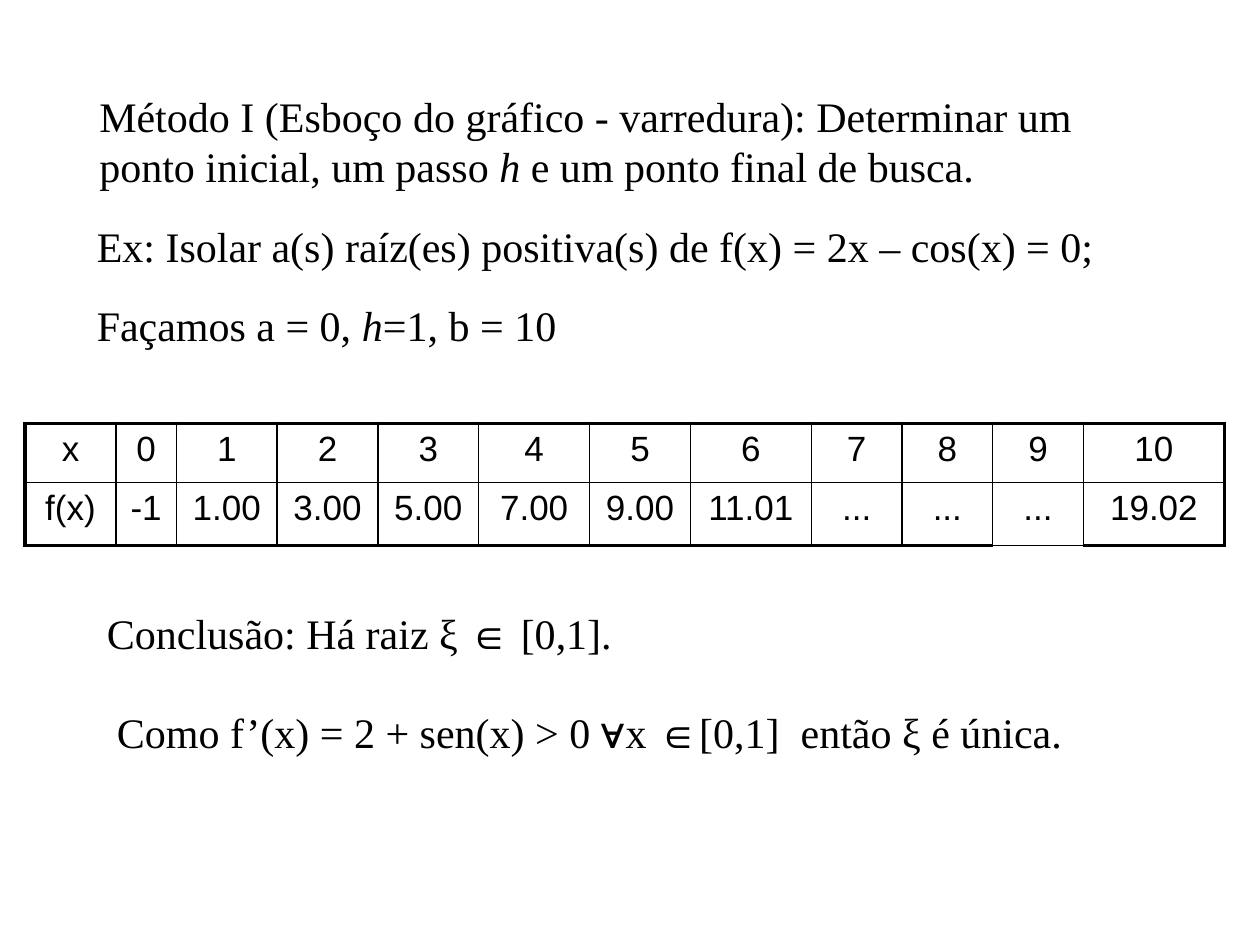
from lxml import etree
from pptx import Presentation
from pptx.dml.color import RGBColor
from pptx.enum import text
from pptx.oxml.ns import qn
from pptx.util import Inches, Pt

BLACK = "000000"
THIN, THICK = 1, 2.25
COLUMNS = [0.72, 0.48, 0.8, 0.8, 0.8, 0.88, 0.8, 0.96, 0.72, 0.72, 0.72, 1.12]
ROWS = [0.47, 0.5]
VALUES = [
    ["x", *map(str, range(11))],
    ["f(x)", "-1", "1.00", "3.00", "5.00", "7.00", "9.00", "11.01",
     "...", "...", "...", "19.02"],
]
OPEN_COLUMN = VALUES[0].index("9")
STATEMENTS = [
    ((0.69, 0.67, 8.23, 0.9),
     ["Método I (Esboço do gráfico - varredura): Determinar um ponto inicial, um passo ",
      "h", " e um ponto final de busca."]),
    ((0.67, 1.7, 8.26, 0.5),
     ["Ex: Isolar a(s) raíz(es) positiva(s) de f(x) = 2x – cos(x) = 0;"]),
    ((0.67, 2.33, 8.47, 0.5), ["Façamos a = 0, ", "h", "=1, b = 10"]),
    ((0.75, 4.77, 7.31, 0.5), ["Conclusão: Há raiz ξ ∈ [0,1]."]),
    ((0.83, 5.56, 8.85, 0.5),
     ["Como f’(x) = 2 + sen(x) > 0 ∀x ∈[0,1]  então ξ é única."]),
]


def color(value):
    """Turn a hex string into a colour."""
    return RGBColor.from_string(value)


def style(p, name, size):
    """Set the font of a whole paragraph."""
    p.font.name = name
    p.font.size = Pt(size)
    p.font.color.rgb = color(BLACK)


def add_statement(slide, box, parts):
    """Write one sentence in the box, with the step h in italics."""
    tf = slide.shapes.add_textbox(*map(Inches, box)).text_frame
    tf.word_wrap = True
    tf.auto_size = text.MSO_AUTO_SIZE.SHAPE_TO_FIT_TEXT
    p = tf.paragraphs[0]
    style(p, "Times New Roman", 24)
    for part in parts:
        r = p.add_run()
        r.text = part
        if part == "h":
            r.font.italic = True


def set_borders(cell, **widths):
    """Draw the cell's sides, given as L, R, T and B widths in points."""
    tcPr = cell._tc.get_or_add_tcPr()
    for side, width in widths.items():
        ln = etree.SubElement(tcPr, qn(f"a:ln{side}"), w=str(Pt(width)))
        fill = etree.SubElement(ln, qn("a:solidFill"))
        etree.SubElement(fill, qn("a:srgbClr"), val=BLACK)


def add_value_table(slide, left, top):
    """Tabulate f(x) inside a thick frame that is thin below the open column."""
    table = slide.shapes.add_table(
        len(ROWS), len(COLUMNS), Inches(left), Inches(top),
        Inches(sum(COLUMNS)), Inches(sum(ROWS))).table
    table.first_row = table.horz_banding = False
    for column, width in zip(table.columns, COLUMNS):
        column.width = Inches(width)
    for row, height in zip(table.rows, ROWS):
        row.height = Inches(height)
    last_row, last_column = len(ROWS) - 1, len(COLUMNS) - 1
    for i, values in enumerate(VALUES):
        for j, value in enumerate(values):
            cell = table.cell(i, j)
            cell.text = value
            p = cell.text_frame.paragraphs[0]
            p.alignment = text.PP_ALIGN.CENTER
            style(p, "Arial", 20)
            closed = i == last_row and j != OPEN_COLUMN
            set_borders(cell,
                        L=THICK if j == 0 else THIN,
                        R=THICK if j == last_column else THIN,
                        T=THICK if i == 0 else THIN,
                        B=THICK if closed else THIN)
            cell.fill.background()


def main():
    """Build the slide on root isolation."""
    prs = Presentation()
    prs.slide_width, prs.slide_height = Inches(10), Inches(7.5)
    slide = prs.slides.add_slide(prs.slide_layouts[6])
    for box, parts in STATEMENTS:
        add_statement(slide, box, parts)
    add_value_table(slide, 0.2, 3.36)
    prs.save("out.pptx")


if __name__ == "__main__":
    main()
